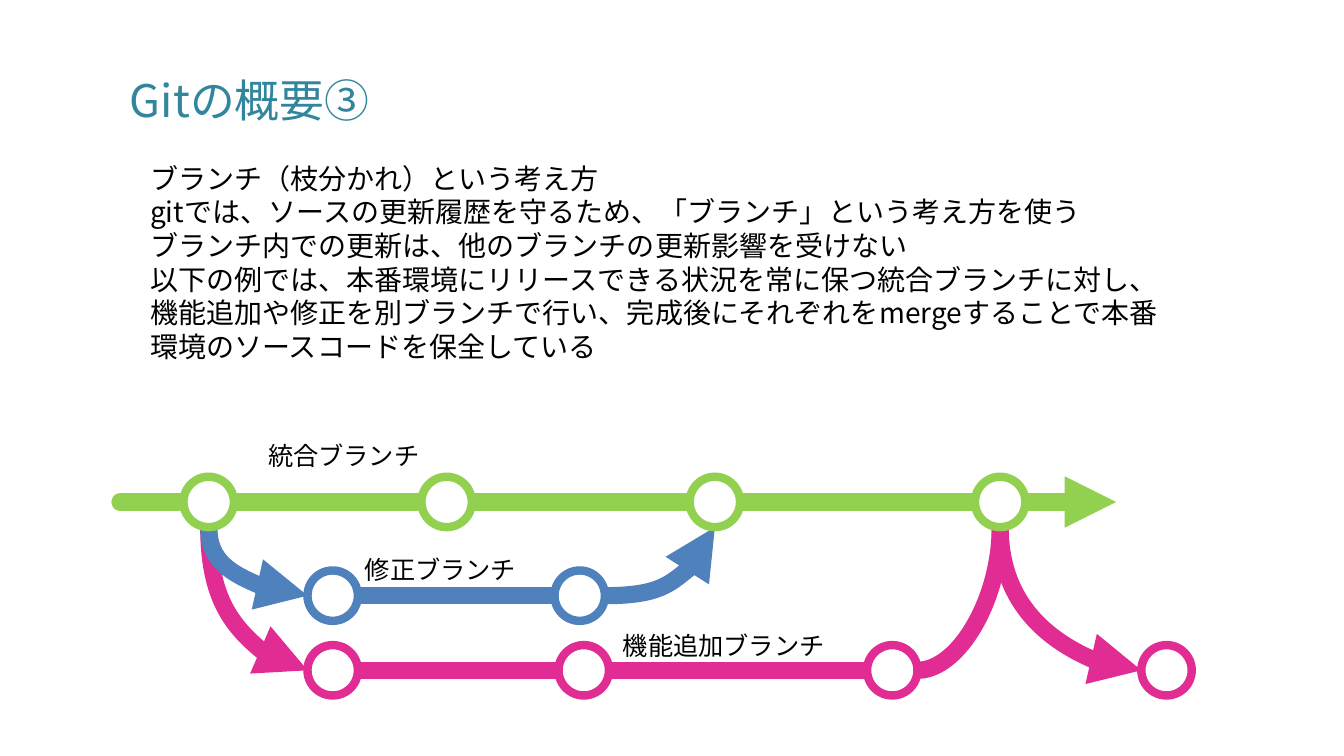
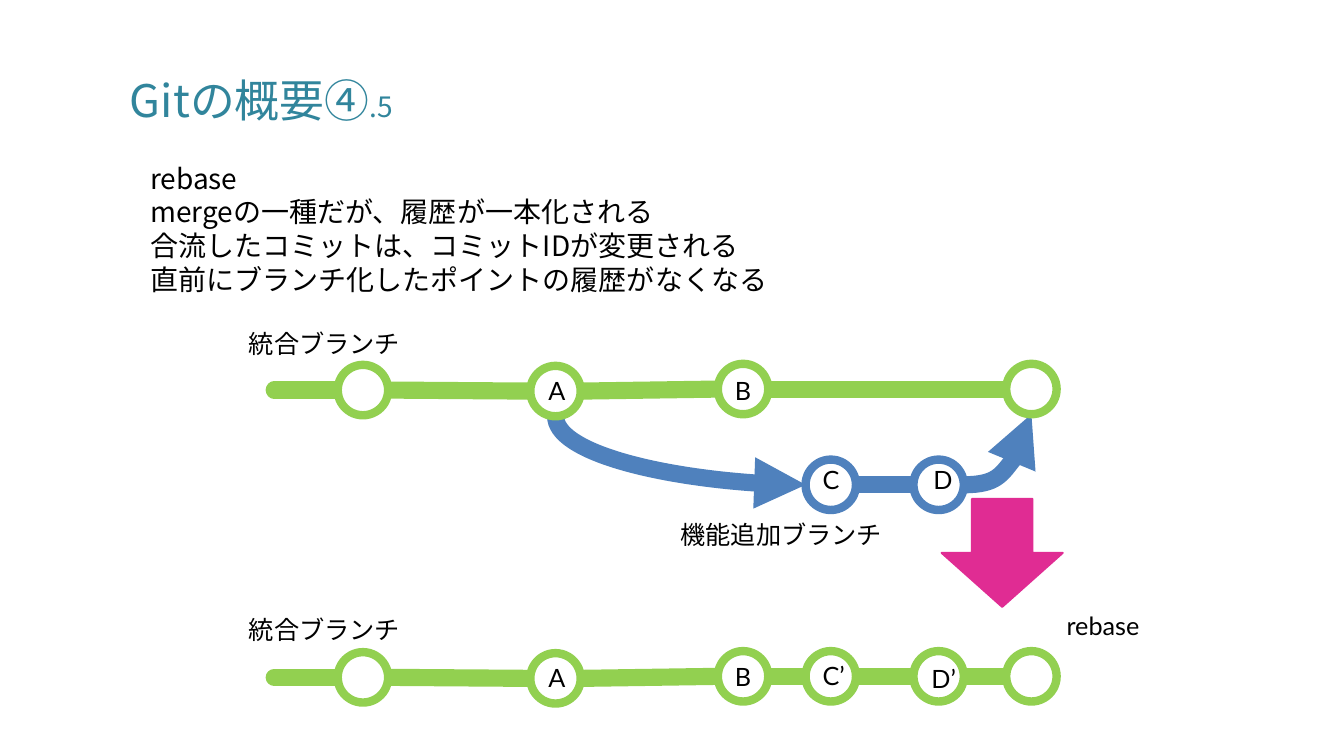
from lxml.etree import SubElement
from pptx import Presentation
from pptx.dml.color import RGBColor
from pptx.enum.lang import MSO_LANGUAGE_ID
from pptx.enum.shapes import MSO_CONNECTOR, MSO_SHAPE
from pptx.enum.text import MSO_ANCHOR
from pptx.oxml.ns import qn
from pptx.util import Inches, Pt

GREEN, BLUE, PINK = "92D050", "4F81BD", "E02C93"
WHITE = "FFFFFF"
TITLE = {"size": 32, "font": "Noto Sans CJK JP", "color": "31859C"}
BODY = {"size": 20, "font": "Noto Sans CJK JP", "color": "000000"}
LABEL = {"size": 18, "font": "Lato", "color": "000000"}

RADIUS = 0.25
BRANCH_WIDTH, NODE_WIDTH = 12.25, 6
REBASE_SHIFT = 2.85

# Nodes are circle centres; "start" and "end" are the x of a branch's free ends.
# Curves are (kind, parent node, child node, colour, arrowhead).
FORK, JOIN = "fork", "join"
MAIN_Y, FIX_Y, FEATURE_Y = 4.98, 5.91, 6.65
MAIN = [(x, MAIN_Y) for x in (2.07, 4.43, 7.09, 9.92)]
FIX = [(x, FIX_Y) for x in (3.3, 5.75)]
FEATURE = [(x, FEATURE_Y) for x in (3.3, 5.79, 8.85)]
NEXT_FEATURE = (11.57, FEATURE_Y)

BEFORE = [(3.6, 3.87), (5.51, 3.88), (7.37, 3.86), (10.23, 3.86)]
TOPIC = [(8.24, 4.81), (9.31, 4.81)]
AFTER = [(x, y + REBASE_SHIFT) for x, y in BEFORE]
REBASED = [(x, AFTER[-1][1]) for x, _ in TOPIC]

SLIDES = [
    {
        "title": [("Gitの概要③", 32)],
        "body_size": (10.39, 2.12),
        "body": [
            "ブランチ（枝分かれ）という考え方",
            "gitでは、ソースの更新履歴を守るため、「ブランチ」という考え方を使う",
            "ブランチ内での更新は、他のブランチの更新影響を受けない",
            "以下の例では、本番環境にリリースできる状況を常に保つ統合ブランチに対し、",
            "機能追加や修正を別ブランチで行い、完成後にそれぞれをmergeすることで"
            "本番環境のソースコードを保全している",
        ],
        "curves": [
            (FORK, MAIN[0], FEATURE[0], PINK, True),
            (FORK, MAIN[0], FIX[0], BLUE, True),
            (JOIN, MAIN[2], FIX[-1], BLUE, True),
            (JOIN, MAIN[3], FEATURE[-1], PINK, False),
            (FORK, MAIN[3], NEXT_FEATURE, PINK, True),
        ],
        "branches": [
            {"color": GREEN, "nodes": MAIN, "start": 1.19, "end": 11.07},
            {"color": BLUE, "nodes": FIX},
            {"color": PINK, "nodes": FEATURE},
            {"color": PINK, "nodes": [NEXT_FEATURE]},
        ],
        "labels": [
            ("統合ブランチ", 2.56, 4.32, 1.72),
            ("機能追加ブランチ", 6.08, 6.2, 2.22),
            ("修正ブランチ", 3.52, 5.45, 1.72),
        ],
    },
    {
        "title": [("Gitの概要④", 32), (".5", 20)],
        "body_size": (10.71, 1.78),
        "body": [
            "rebase",
            "mergeの一種だが、履歴が一本化される",
            "合流したコミットは、コミットIDが変更される",
            "直前にブランチ化したポイントの履歴がなくなる",
        ],
        "curves": [
            (FORK, BEFORE[1], TOPIC[0], BLUE, True),
            (JOIN, BEFORE[-1], TOPIC[-1], BLUE, True),
        ],
        "branches": [
            {"color": GREEN, "nodes": BEFORE, "start": 2.72},
            {"color": BLUE, "nodes": TOPIC},
            {"color": GREEN, "nodes": AFTER, "start": 2.72},
            *({"color": GREEN, "nodes": [node]} for node in REBASED),
        ],
        "labels": [
            ("統合ブランチ", 2.37, 3.21, 1.72),
            ("機能追加ブランチ", 6.65, 5.1, 2.22),
            ("統合ブランチ", 2.37, 6.05, 1.72),
            ("rebase", 10.48, 6.01, 0.95),
            ("A", 5.34, 3.67, 0.35),
            ("B", 7.19, 3.67, 0.34),
            ("C", 8.06, 4.56, 0.35),
            ("D", 9.16, 4.56, 0.36),
            ("A", 5.34, 6.52, 0.35),
            ("B", 7.19, 6.51, 0.34),
            ("C’", 8.06, 6.5, 0.45),
            ("D’", 9.14, 6.53, 0.45),
        ],
        "down_arrow": (9.34, 4.95, 1.2, 1.07),
    },
]


def rgb(color):
    return RGBColor.from_string(color)


def add_text(slide, box, paragraphs, style, wrap=True):
    """Add a text box; each paragraph is a list of (text, size) runs."""
    tf = slide.shapes.add_textbox(*map(Inches, box)).text_frame
    tf.word_wrap = wrap
    tf.vertical_anchor = MSO_ANCHOR.TOP
    for i, runs in enumerate(paragraphs):
        p = tf.paragraphs[0] if i == 0 else tf.add_paragraph()
        for text, size in runs:
            r = p.add_run()
            r.text = text
            values = {"size": Pt(size), "name": style["font"],
                      "language_id": MSO_LANGUAGE_ID.JAPANESE}
            for name, value in values.items():
                setattr(r.font, name, value)
            r.font.color.rgb = rgb(style["color"])
            SubElement(r.font._element, qn("a:ea"), typeface=style["font"])


def add_line(slide, start, end, color, arrow=False, kind=MSO_CONNECTOR.STRAIGHT,
             round_cap=False):
    line = slide.shapes.add_connector(kind, *map(Inches, (*start, *end)))
    line.line.color.rgb = rgb(color)
    line.line.width = Pt(BRANCH_WIDTH)
    ln = line.line._get_or_add_ln()
    if round_cap:
        ln.set("cap", "rnd")
    if arrow:
        SubElement(ln, qn("a:tailEnd"), type="triangle")
    SubElement(line._element.spPr, qn("a:effectLst"))
    return line


def add_curve(slide, kind, parent, child, color, arrow):
    """Fork down from the parent to the child's left, or join from its right."""
    below = (parent[0], parent[1] + RADIUS)
    if kind == JOIN:
        start, end = (child[0] + RADIUS, child[1]), below
    else:
        start, end = below, (child[0] - RADIUS, child[1])
    line = add_line(slide, start, end, color, arrow, MSO_CONNECTOR.CURVE)
    spPr = line._element.spPr
    spPr.find(qn("a:prstGeom")).set("prst", "curvedConnector2")
    if kind == FORK:
        # A quarter turn makes the curve leave vertically.
        w, h = line.width, line.height
        line.left += (w - h) // 2
        line.top += (h - w) // 2
        line.width, line.height = h, w
        xfrm = spPr.find(qn("a:xfrm"))
        xfrm.set("rot", str(270 * 60000))
        xfrm.set("flipH", "1")


def add_shape(slide, kind, box, fill, line, width):
    sp = slide.shapes.add_shape(kind, *map(Inches, box))
    sp.shadow.inherit = False
    sp.fill.solid()
    sp.fill.fore_color.rgb = rgb(fill)
    sp.line.color.rgb = rgb(line)
    sp.line.width = Pt(width)


def add_branch(slide, color, nodes, start=None, end=None):
    (first_x, first_y), (last_x, last_y) = nodes[0], nodes[-1]
    if start is not None:
        add_line(slide, (start, first_y), (first_x - RADIUS, first_y), color,
                 round_cap=True)
    for (x1, y1), (x2, y2) in zip(nodes, nodes[1:]):
        add_line(slide, (x1 + RADIUS, y1), (x2 - RADIUS, y2), color)
    if end is not None:
        add_line(slide, (last_x + RADIUS, last_y), (end, last_y), color, arrow=True)
    for x, y in nodes:
        box = (x - RADIUS, y - RADIUS, 2 * RADIUS, 2 * RADIUS)
        add_shape(slide, MSO_SHAPE.FLOWCHART_CONNECTOR, box, WHITE, color, NODE_WIDTH)


def build_slide(prs, content):
    s = prs.slides.add_slide(prs.slide_layouts[6])
    add_text(s, (1.19, 0.67, 5.32, 0.88), [content["title"]], TITLE)
    body = [[(text, BODY["size"])] for text in content["body"]]
    add_text(s, (1.39, 1.55, *content["body_size"]), body, BODY)
    for curve in content["curves"]:
        add_curve(s, *curve)
    for branch in content["branches"]:
        add_branch(s, **branch)
    for text, x, y, width in content["labels"]:
        add_text(s, (x, y, width, 0.4), [[(text, LABEL["size"])]], LABEL, wrap=False)
    if "down_arrow" in content:
        add_shape(s, MSO_SHAPE.DOWN_ARROW, content["down_arrow"], PINK, PINK, 1.5)


def main():
    prs = Presentation()
    prs.slide_width, prs.slide_height = Inches(13.33), Inches(7.5)
    for content in SLIDES:
        build_slide(prs, content)
    prs.save("out.pptx")


if __name__ == "__main__":
    main()
